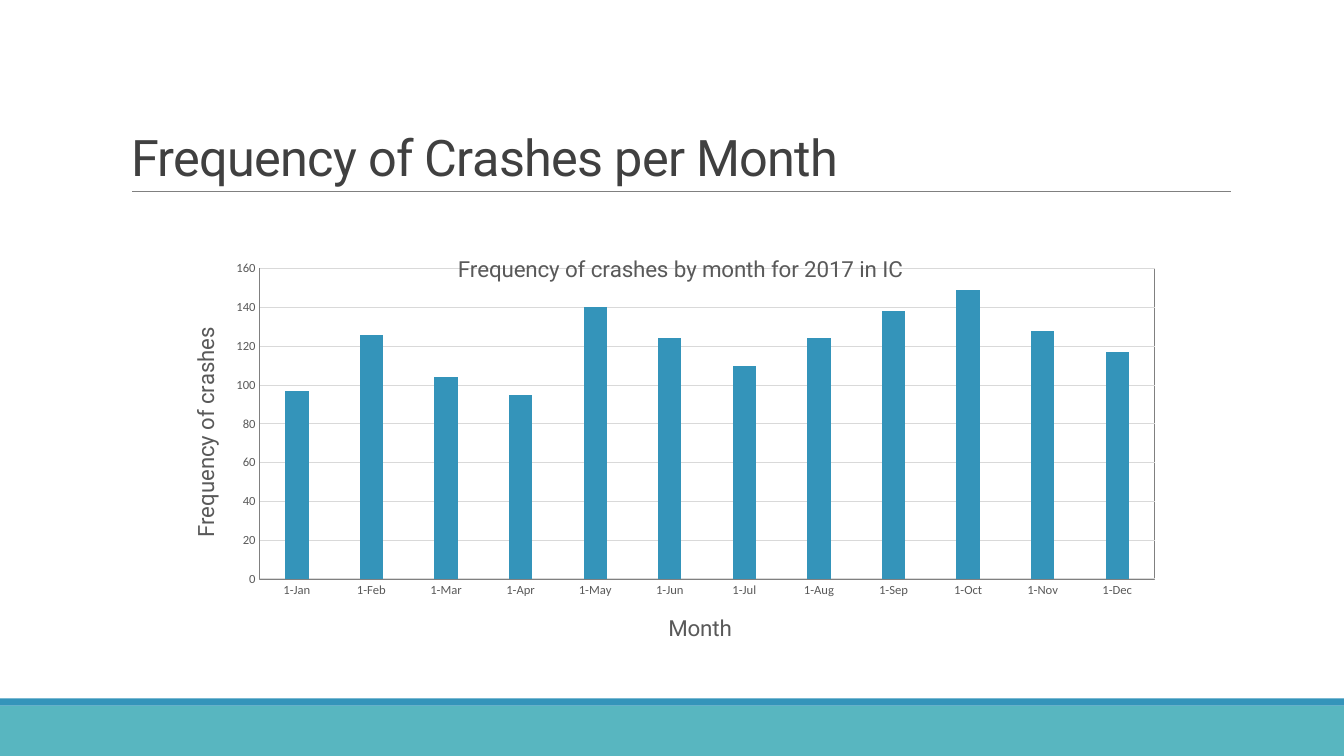
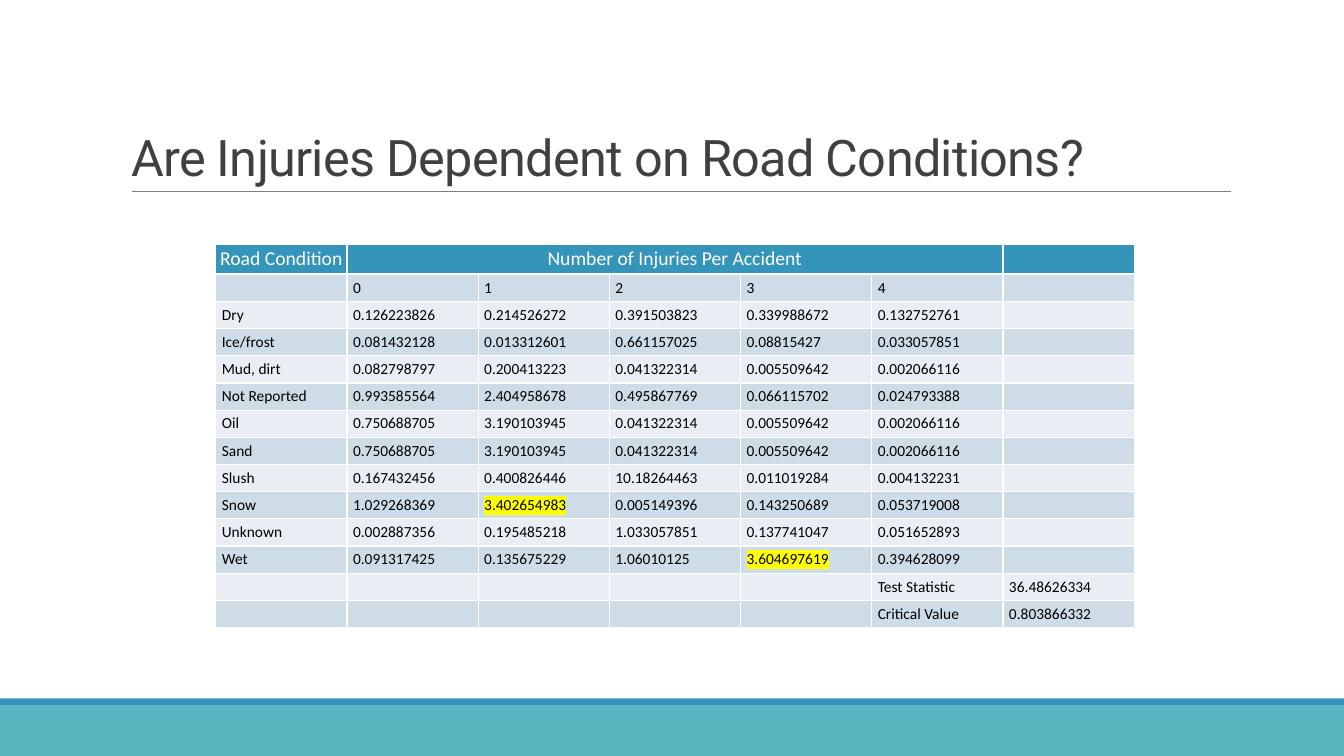
from dataclasses import dataclass

from lxml import etree
from pptx import Presentation
from pptx.chart.chart import Chart
from pptx.chart.data import CategoryChartData
from pptx.dml.color import RGBColor
from pptx.enum.chart import XL_CHART_TYPE, XL_TICK_MARK
from pptx.enum.shapes import MSO_CONNECTOR, MSO_SHAPE
from pptx.enum.text import MSO_ANCHOR, MSO_AUTO_SIZE, PP_ALIGN
from pptx.oxml.ns import qn
from pptx.slide import Slide
from pptx.table import _Cell
from pptx.util import Inches, Pt

COLUMN_CHART = XL_CHART_TYPE.COLUMN_CLUSTERED
NO_TICK = XL_TICK_MARK.NONE
STRAIGHT = MSO_CONNECTOR.STRAIGHT
RECTANGLE = MSO_SHAPE.RECTANGLE
MIDDLE, BOTTOM = MSO_ANCHOR.MIDDLE, MSO_ANCHOR.BOTTOM
LEFT, CENTER = PP_ALIGN.LEFT, PP_ALIGN.CENTER
NO_AUTOFIT = MSO_AUTO_SIZE.NONE

BLUE = RGBColor(0x34, 0x94, 0xBA)
TEAL = RGBColor(0x58, 0xB6, 0xC0)
TITLE_GREY = RGBColor(0x40, 0x40, 0x40)
LABEL_GREY = RGBColor(0x59, 0x59, 0x59)
RULE_GREY = RGBColor(0x80, 0x80, 0x80)
GRID_GREY = RGBColor(0xD9, 0xD9, 0xD9)
BAND_DARK = RGBColor(0xCE, 0xDC, 0xE7)
BAND_LIGHT = RGBColor(0xE8, 0xEE, 0xF3)
WHITE = RGBColor(0xFF, 0xFF, 0xFF)
BLACK = RGBColor(0, 0, 0)
YELLOW = RGBColor(0xFF, 0xFF, 0x00)

HEADING_FONT, BODY_FONT = "Roboto", "Calibri"
SLIDE_WIDTH, SLIDE_HEIGHT = 13.33, 7.5
CONTENT_LEFT, CONTENT_WIDTH = 1.2, 11
TITLE_TOP, TITLE_BOTTOM = 0.31, 1.9
RULE_LEFT, RULE_RIGHT = 1.31, 12.21


@dataclass(frozen=True)
class Band:
    top: float
    height: float
    color: RGBColor


@dataclass(frozen=True)
class ChartLabel:
    """A chart caption whose corner is given as shares of the chart's size."""
    text: str
    x: float
    y: float


FOOTER_BANDS = [Band(7, 0.5, TEAL), Band(6.93, 0.07, BLUE)]

MONTHS = "Jan Feb Mar Apr May Jun Jul Aug Sep Oct Nov Dec".split()
CRASHES = [97, 126, 104, 95, 140, 124, 110, 124, 138, 149, 128, 117]
CHART_TITLE = ChartLabel("Frequency of crashes by month for 2017 in IC", 0.3, 0.05)
MONTH_LABEL = ChartLabel("Month", 0.49, 0.92)
CRASHES_LABEL = ChartLabel("Frequency of crashes", 0.06, 0.23)

TABLE_LEFT, TABLE_TOP, TABLE_WIDTH = 2.14, 2.42, 9.11
HEADER_HEIGHT, ROW_HEIGHT = 0.3, 0.27
COLUMN_COUNT = 7
HEADER = ["Road Condition", "Number of Injuries Per Accident", "", "", "", "", ""]
BODY_ROWS = [
    ["", "0", "1", "2", "3", "4", ""],
    ["Dry", "0.126223826", "0.214526272", "0.391503823", "0.339988672", "0.132752761", ""],
    ["Ice/frost", "0.081432128", "0.013312601", "0.661157025", "0.08815427", "0.033057851", ""],
    ["Mud, dirt", "0.082798797", "0.200413223", "0.041322314", "0.005509642", "0.002066116", ""],
    ["Not Reported", "0.993585564", "2.404958678", "0.495867769", "0.066115702", "0.024793388", ""],
    ["Oil", "0.750688705", "3.190103945", "0.041322314", "0.005509642", "0.002066116", ""],
    ["Sand", "0.750688705", "3.190103945", "0.041322314", "0.005509642", "0.002066116", ""],
    ["Slush", "0.167432456", "0.400826446", "10.18264463", "0.011019284", "0.004132231", ""],
    ["Snow", "1.029268369", "3.402654983", "0.005149396", "0.143250689", "0.053719008", ""],
    ["Unknown", "0.002887356", "0.195485218", "1.033057851", "0.137741047", "0.051652893", ""],
    ["Wet", "0.091317425", "0.135675229", "1.06010125", "3.604697619", "0.394628099", ""],
    ["", "", "", "", "", "Test Statistic", "36.48626334"],
    ["", "", "", "", "", "Critical Value", "0.803866332"],
]
HIGHLIGHTED = {"3.402654983", "3.604697619"}


def style_font(font, name: str, size: float, color: RGBColor) -> None:
    font.name = name
    font.size = Pt(size)
    font.bold = False
    font.color.rgb = color


def add_base_slide(presentation, title_text: str) -> Slide:
    """Add a slide with the shared title, rule and footer bands."""
    slide = presentation.slides.add_slide(presentation.slide_layouts[5])
    for band in FOOTER_BANDS:
        shape = slide.shapes.add_shape(RECTANGLE, 0, Inches(band.top),
                                       Inches(SLIDE_WIDTH), Inches(band.height))
        shape.shadow.inherit = False
        shape.fill.solid()
        shape.fill.fore_color.rgb = band.color
        shape.line.fill.background()

    rule = slide.shapes.add_connector(STRAIGHT, Inches(RULE_LEFT), Inches(TITLE_BOTTOM),
                                      Inches(RULE_RIGHT), Inches(TITLE_BOTTOM))
    rule.line.color.rgb = RULE_GREY
    rule.line.width = Pt(0.5)
    etree.SubElement(rule.element.spPr, qn("a:effectLst"))

    title = slide.shapes.title
    title.left, title.top = Inches(CONTENT_LEFT), Inches(TITLE_TOP)
    title.width, title.height = Inches(CONTENT_WIDTH), Inches(TITLE_BOTTOM - TITLE_TOP)
    frame = title.text_frame
    frame.text = title_text
    frame.auto_size = NO_AUTOFIT
    frame.vertical_anchor = BOTTOM
    paragraph = frame.paragraphs[0]
    paragraph.alignment = LEFT
    paragraph.line_spacing = 0.85
    run = paragraph.runs[0]
    style_font(run.font, HEADING_FONT, 36, TITLE_GREY)
    run.font._element.set("spc", "-50")
    return slide


def set_manual_layout(element, **settings: object) -> None:
    layout = element.find(qn("c:layout"))
    if layout is None:
        layout = etree.Element(qn("c:layout"))
        text = element.find(qn("c:tx"))
        if text is None:
            element.insert(0, layout)
        else:
            text.addnext(layout)
    manual = etree.SubElement(layout, qn("c:manualLayout"))
    for name, value in settings.items():
        etree.SubElement(manual, qn(f"c:{name}"), val=str(value))


def write_chart_label(title, label: ChartLabel, rotation: int = 0) -> None:
    title.text_frame.text = label.text
    run = title.text_frame.paragraphs[0].runs[0]
    style_font(run.font, HEADING_FONT, 16, LABEL_GREY)
    body = next(title.element.iter(qn("a:bodyPr")))
    body.set("rot", str(rotation * 60000))
    body.set("vert", "horz")
    set_manual_layout(title.element, xMode="edge", yMode="edge", x=label.x, y=label.y)


def format_plot_area(chart: Chart) -> None:
    """Place the plot by shares of the chart and give it a thin frame."""
    area = next(chart.element.iter(qn("c:plotArea")))
    set_manual_layout(area, layoutTarget="inner", xMode="edge", yMode="edge",
                      x=0.125, y=0.092, w=0.807, h=0.753)
    properties = etree.SubElement(area, qn("c:spPr"))
    etree.SubElement(properties, qn("a:noFill"))
    add_line(properties, "ln", RULE_GREY, 0.75)


def add_line(parent, tag: str, color: RGBColor, width: float) -> None:
    line = etree.SubElement(parent, qn(f"a:{tag}"), w=str(Pt(width)))
    fill = etree.SubElement(line, qn("a:solidFill"))
    etree.SubElement(fill, qn("a:srgbClr"), val=str(color))


def add_crash_chart(slide: Slide) -> None:
    data = CategoryChartData()
    data.categories = [f"1-{month}" for month in MONTHS]
    data.add_series("Series 1", CRASHES)
    chart = slide.shapes.add_chart(COLUMN_CHART, Inches(CONTENT_LEFT), Inches(2.29),
                                   Inches(CONTENT_WIDTH), Inches(4.14), data).chart
    style_font(chart.font, BODY_FONT, 10, BLACK)
    chart.has_legend = False
    chart.has_title = True
    write_chart_label(chart.chart_title, CHART_TITLE)

    plot = chart.plots[0]
    plot.gap_width = 219
    plot.overlap = -27
    plot.vary_by_categories = False
    fill = plot.series[0].format.fill
    fill.solid()
    fill.fore_color.rgb = BLUE

    category_axis, value_axis = chart.category_axis, chart.value_axis
    for axis, label, rotation in ((category_axis, MONTH_LABEL, 0),
                                  (value_axis, CRASHES_LABEL, -90)):
        axis.major_tick_mark = axis.minor_tick_mark = NO_TICK
        style_font(axis.tick_labels.font, BODY_FONT, 9, LABEL_GREY)
        axis.has_title = True
        write_chart_label(axis.axis_title, label, rotation)

    value_axis.minimum_scale, value_axis.maximum_scale = 0, 160
    value_axis.major_unit = 20
    value_axis.has_major_gridlines = True
    value_axis.format.line.fill.background()
    for line in (category_axis.format.line, value_axis.major_gridlines.format.line):
        line.color.rgb = GRID_GREY
        line.width = Pt(0.75)
    format_plot_area(chart)


def write_cell(cell: _Cell, text: str, fill: RGBColor, color: RGBColor, size: float,
               side_margin: float, border_widths: dict[str, float]) -> None:
    cell.text = text
    cell.vertical_anchor = MIDDLE
    cell.margin_left = cell.margin_right = Inches(side_margin)
    cell.margin_top = cell.margin_bottom = Inches(0.03)
    properties = cell._tc.get_or_add_tcPr()
    for side, width in border_widths.items():
        add_line(properties, f"ln{side}", WHITE, width)
    cell.fill.solid()
    cell.fill.fore_color.rgb = fill

    paragraph = cell.text_frame.paragraphs[0]
    for run in paragraph.runs:
        style_font(run.font, BODY_FONT, size, color)
        if text in HIGHLIGHTED:
            highlight = etree.Element(qn("a:highlight"))
            etree.SubElement(highlight, qn("a:srgbClr"), val=str(YELLOW))
            run.font._element.find(qn("a:solidFill")).addnext(highlight)
    if not text:
        etree.SubElement(paragraph._p, qn("a:endParaRPr"), sz=str(size * 100))


def add_injury_table(slide: Slide) -> None:
    row_count = len(BODY_ROWS) + 1
    height = HEADER_HEIGHT + ROW_HEIGHT * len(BODY_ROWS)
    table = slide.shapes.add_table(row_count, COLUMN_COUNT, Inches(TABLE_LEFT), Inches(TABLE_TOP),
                                   Inches(TABLE_WIDTH), Inches(height)).table
    table.first_row = table.horz_banding = False
    for column in table.columns:
        column.width = Inches(TABLE_WIDTH / COLUMN_COUNT)

    thin = {"L": 1, "R": 1, "T": 1, "B": 1}
    table.rows[0].height = Inches(HEADER_HEIGHT)
    for column, text in enumerate(HEADER):
        cell = table.cell(0, column)
        write_cell(cell, text, BLUE, WHITE, 14, 0, {**thin, "B": 2})
        cell.text_frame.paragraphs[0].alignment = CENTER
    table.cell(0, 1).merge(table.cell(0, COLUMN_COUNT - 2))

    for row, texts in enumerate(BODY_ROWS, start=1):
        table.rows[row].height = Inches(ROW_HEIGHT)
        fill = BAND_DARK if row % 2 else BAND_LIGHT
        borders = {**thin, "T": 2} if row == 1 else thin
        for column, text in enumerate(texts):
            write_cell(table.cell(row, column), text, fill, BLACK, 11, 0.06, borders)


def main() -> None:
    presentation = Presentation()
    presentation.slide_width = Inches(SLIDE_WIDTH)
    presentation.slide_height = Inches(SLIDE_HEIGHT)
    add_crash_chart(add_base_slide(presentation, "Frequency of Crashes per Month"))
    add_injury_table(add_base_slide(presentation, "Are Injuries Dependent on Road Conditions?"))
    presentation.save("out.pptx")


if __name__ == "__main__":
    main()
